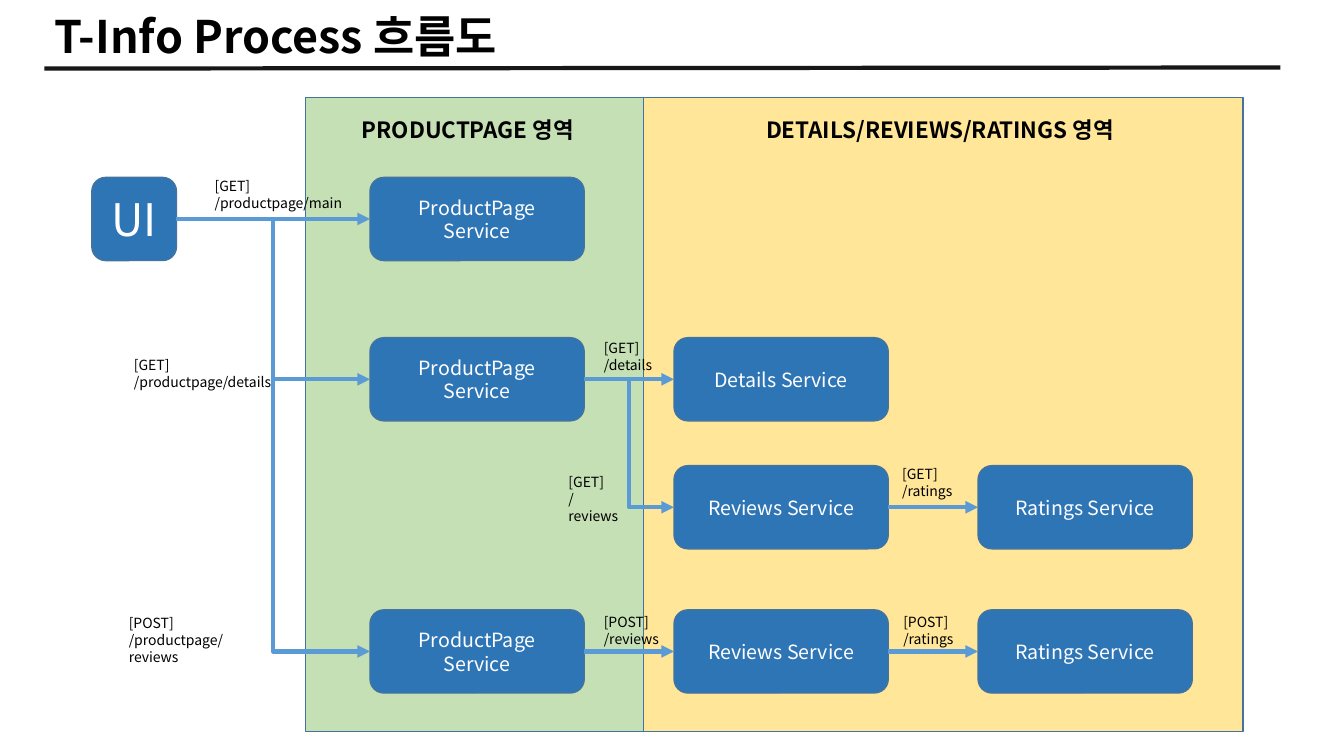
from lxml import etree
from pptx import Presentation
from pptx.dml.color import RGBColor
from pptx.enum.shapes import MSO_CONNECTOR, MSO_SHAPE
from pptx.enum.text import MSO_ANCHOR, MSO_AUTO_SIZE, PP_ALIGN
from pptx.oxml.ns import qn
from pptx.util import Inches, Pt

RECTANGLE, ROUNDED = MSO_SHAPE.RECTANGLE, MSO_SHAPE.ROUNDED_RECTANGLE
STRAIGHT, ELBOW = MSO_CONNECTOR.STRAIGHT, MSO_CONNECTOR.ELBOW
LEFT, CENTER = PP_ALIGN.LEFT, PP_ALIGN.CENTER
MIDDLE, GROW = MSO_ANCHOR.MIDDLE, MSO_AUTO_SIZE.SHAPE_TO_FIT_TEXT
LEFT_SITE, RIGHT_SITE = 1, 3

WIDTH, HEIGHT = Inches(13.33), Inches(7.5)
FONT = "Noto Sans CJK KR"
BLACK, WHITE, RULE = "000000", "FFFFFF", "181717"
BLUE, OUTLINE, ARROW = "2E75B6", "43739E", "5B9BD5"
GREEN, YELLOW = "C5E0B4", "FFE699"

# Every position below is a percentage of the slide's width or height.
AREA_TOP, AREA_HEIGHT = 12.93, 83.87
FIRST_COLUMN, COLUMN_STEP = 27.53, 22.62
ROW_TOPS = (23.47, 44.67, 61.6, 80.67)
SERVICE_WIDTH, BOX_HEIGHT = 15.94, 11
LABEL_HEIGHT = 5.87

AREAS = [(47.86, 44.64, YELLOW), (22.73, 25.13, GREEN)]
HEADINGS = [
    ("PRODUCTPAGE 영역", 26.18, 18.68),
    ("DETAILS/REVIEWS/RATINGS 영역", 56.26, 27.91),
]
# Column and row of each service
SERVICES = {
    (0, 0): "ProductPage Service",
    (0, 1): "ProductPage Service",
    (0, 3): "ProductPage Service",
    (1, 1): "Details Service",
    (1, 2): "Reviews Service",
    (2, 2): "Ratings Service",
    (1, 3): "Reviews Service",
    (2, 3): "Ratings Service",
}
CALLS = [
    ("UI", (0, 0)), ("UI", (0, 1)), ("UI", (0, 3)),
    ((0, 1), (1, 1)), ((0, 1), (1, 2)), ((1, 2), (2, 2)),
    ((0, 3), (1, 3)), ((1, 3), (2, 3)),
]
# Text, left, top, width
CALL_LABELS = [
    ("[GET] /productpage/main", 15.23, 22.8, 11.33),
    ("[GET]\n/productpage/details", 9.23, 46.53, 12.08),
    ("[POST]\n/productpage/reviews", 8.85, 80.67, 12.08),
    ("[GET]\n/details", 44.19, 44.27, 5.18),
    ("[GET]\n/reviews", 41.56, 62, 5.48),
    ("[GET]\n/ratings", 66.39, 60.93, 5.48),
    ("[POST]\n/reviews", 44.19, 80.53, 5.93),
    ("[POST]\n/ratings", 66.47, 80.53, 5.93),
]


def across(share):
    """Turn a percentage of the slide's width into a length."""
    return round(WIDTH * share / 100)


def down(share):
    """Turn a percentage of the slide's height into a length."""
    return round(HEIGHT * share / 100)


def place(left, top, width, height):
    """Return a frame given in percentages as four lengths."""
    return across(left), down(top), across(width), down(height)


def color(value):
    """Return the colour of a hex string."""
    return RGBColor.from_string(value)


def write(frame, text, size=10, fill=BLACK, bold=False, align=LEFT):
    """Write text into a frame, one paragraph for each line."""
    frame.word_wrap = True
    for number, line in enumerate(text.split("\n")):
        para = frame.add_paragraph() if number else frame.paragraphs[0]
        para.alignment = align
        span = para.add_run()
        span.text = line
        span.font.size = Pt(size)
        span.font.bold = bold
        span.font.color.rgb = color(fill)
        span.font.name = FONT
        east_asian = etree.SubElement(span.font._element, qn("a:ea"))
        east_asian.set("typeface", FONT)


def add_text(page, text, frame, **style):
    """Add a text box that grows with its text."""
    box = page.shapes.add_textbox(*place(*frame))
    write(box.text_frame, text, **style)
    box.text_frame.auto_size = GROW


def add_box(page, kind, frame, fill, text="", size=14):
    """Add a filled, outlined shape with centred white text."""
    box = page.shapes.add_shape(kind, *place(*frame))
    box.shadow.inherit = False
    box.fill.solid()
    box.fill.fore_color.rgb = color(fill)
    box.line.color.rgb = color(OUTLINE)
    box.line.width = Pt(1)
    if text:
        box.text_frame.vertical_anchor = MIDDLE
        write(box.text_frame, text, size=size, fill=WHITE, align=CENTER)
    return box


def add_line(page, kind, start, end, fill):
    """Add a plain line between two points given in lengths."""
    line = page.shapes.add_connector(kind, *start, *end)
    line.line.color.rgb = color(fill)
    line.line.width = Pt(3)
    etree.SubElement(line._element.spPr, qn("a:effectLst"))
    return line


def add_call(page, caller, service):
    """Join two boxes with an arrow, bent when their rows differ."""
    kind = STRAIGHT if caller.top == service.top else ELBOW
    start = caller.left + caller.width, caller.top + caller.height // 2
    end = service.left, service.top + service.height // 2
    arrow = add_line(page, kind, start, end, ARROW)
    arrow.begin_connect(caller, RIGHT_SITE)
    arrow.end_connect(service, LEFT_SITE)
    head = etree.SubElement(arrow.line._get_or_add_ln(), qn("a:tailEnd"))
    head.set("type", "triangle")


def main():
    """Build the process flow slide and save it."""
    deck = Presentation()
    deck.slide_width, deck.slide_height = WIDTH, HEIGHT
    page = deck.slides.add_slide(deck.slide_layouts[6])

    for left, width, fill in AREAS:
        add_box(page, RECTANGLE, (left, AREA_TOP, width, AREA_HEIGHT), fill)

    boxes = {"UI": add_box(page, ROUNDED, (6.83, ROW_TOPS[0], 6.3, BOX_HEIGHT),
                           BLUE, "UI", size=32)}
    for (column, row), name in SERVICES.items():
        left = FIRST_COLUMN + column * COLUMN_STEP
        frame = left, ROW_TOPS[row], SERVICE_WIDTH, BOX_HEIGHT
        boxes[column, row] = add_box(page, ROUNDED, frame, BLUE, name)

    for caller, service in CALLS:
        add_call(page, boxes[caller], boxes[service])
    for text, left, top, width in CALL_LABELS:
        add_text(page, text, (left, top, width, LABEL_HEIGHT))

    add_text(page, "T-Info Process 흐름도", (3.3, 0.53, 42.46, 8.53),
             size=32, bold=True)
    add_line(page, STRAIGHT, (across(3.3), down(9.07)),
             (across(95.27), down(8.93)), RULE)
    for text, left, width in HEADINGS:
        add_text(page, text, (left, 14.67, width, 4.93), size=16, bold=True)

    deck.save("out.pptx")


main()
